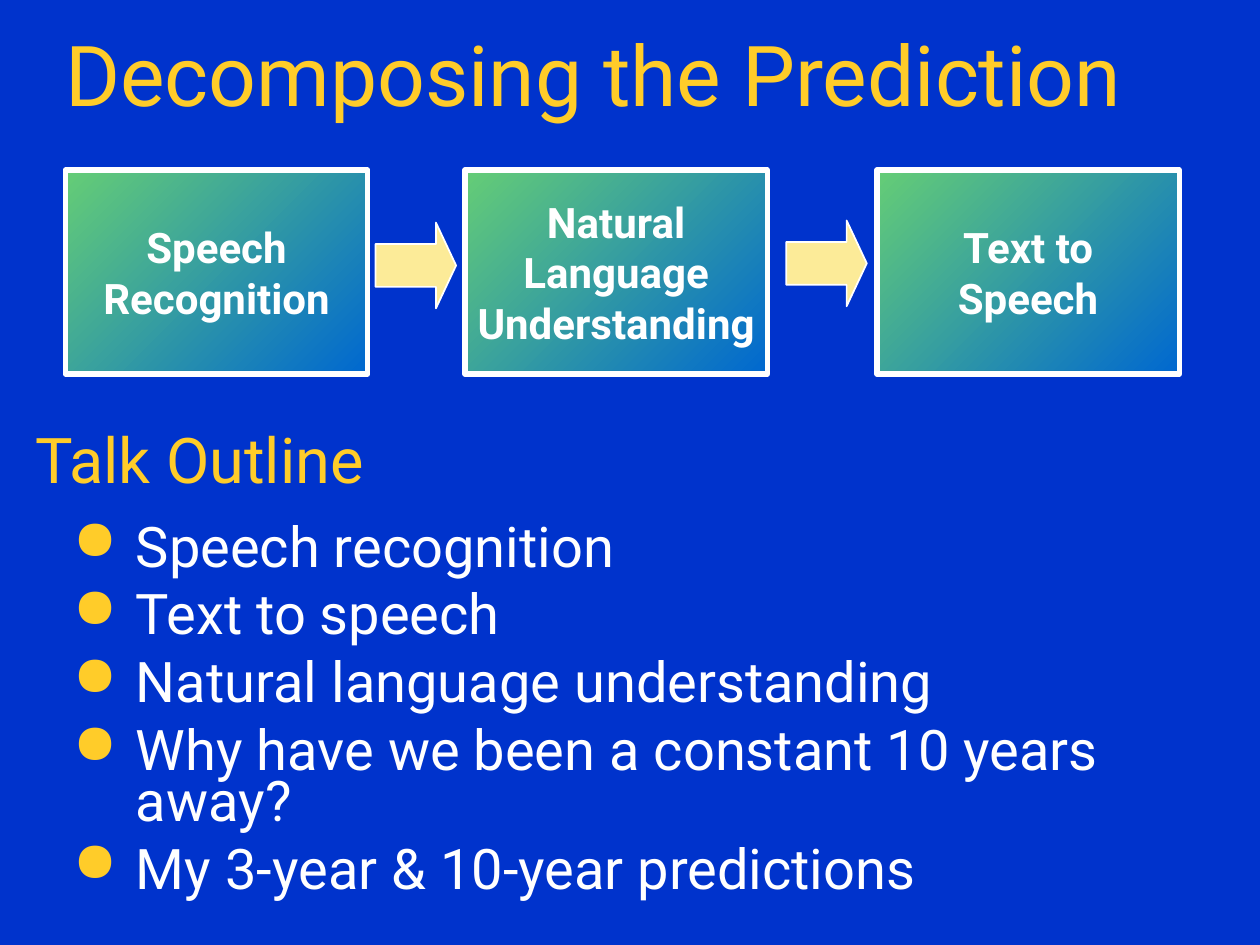
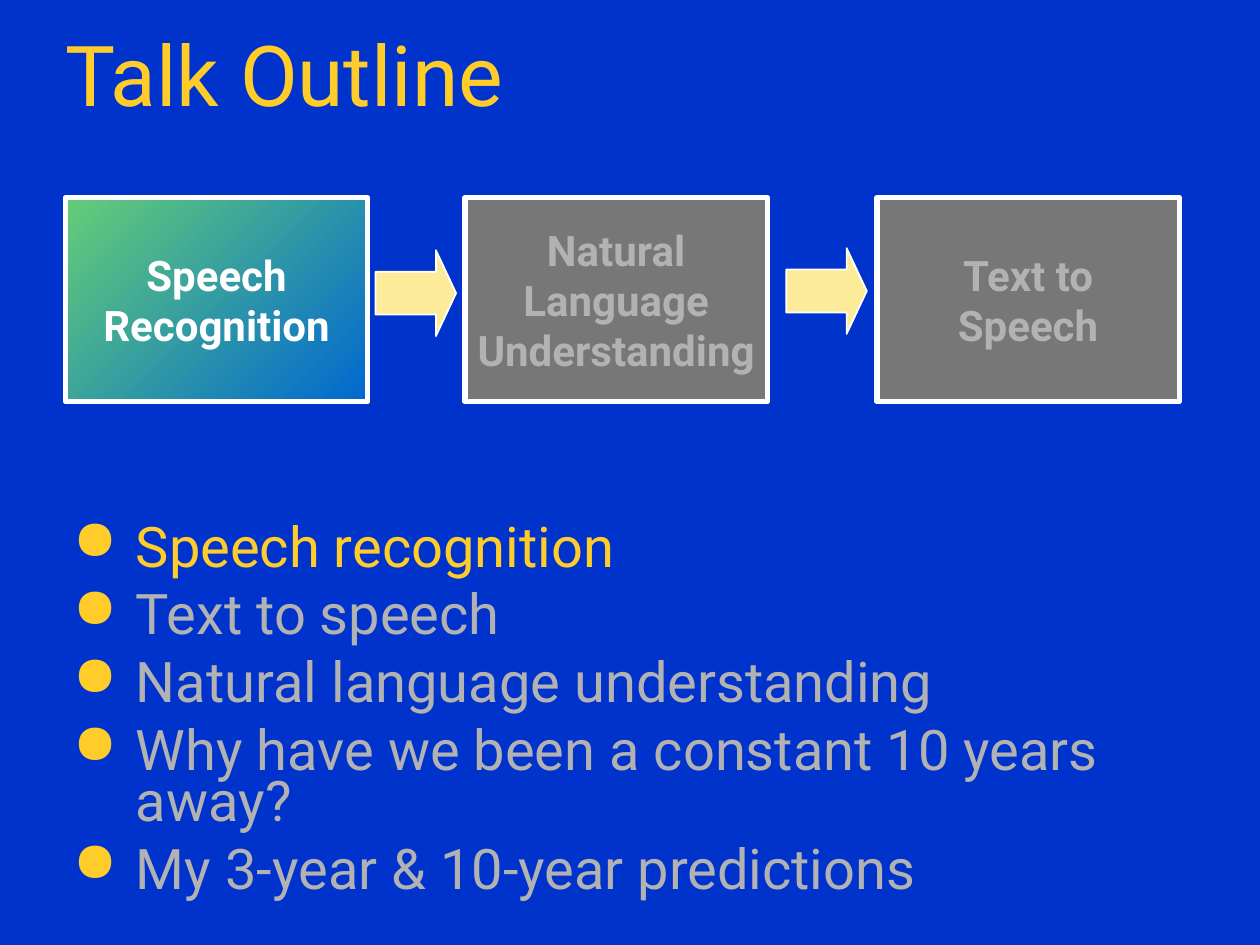
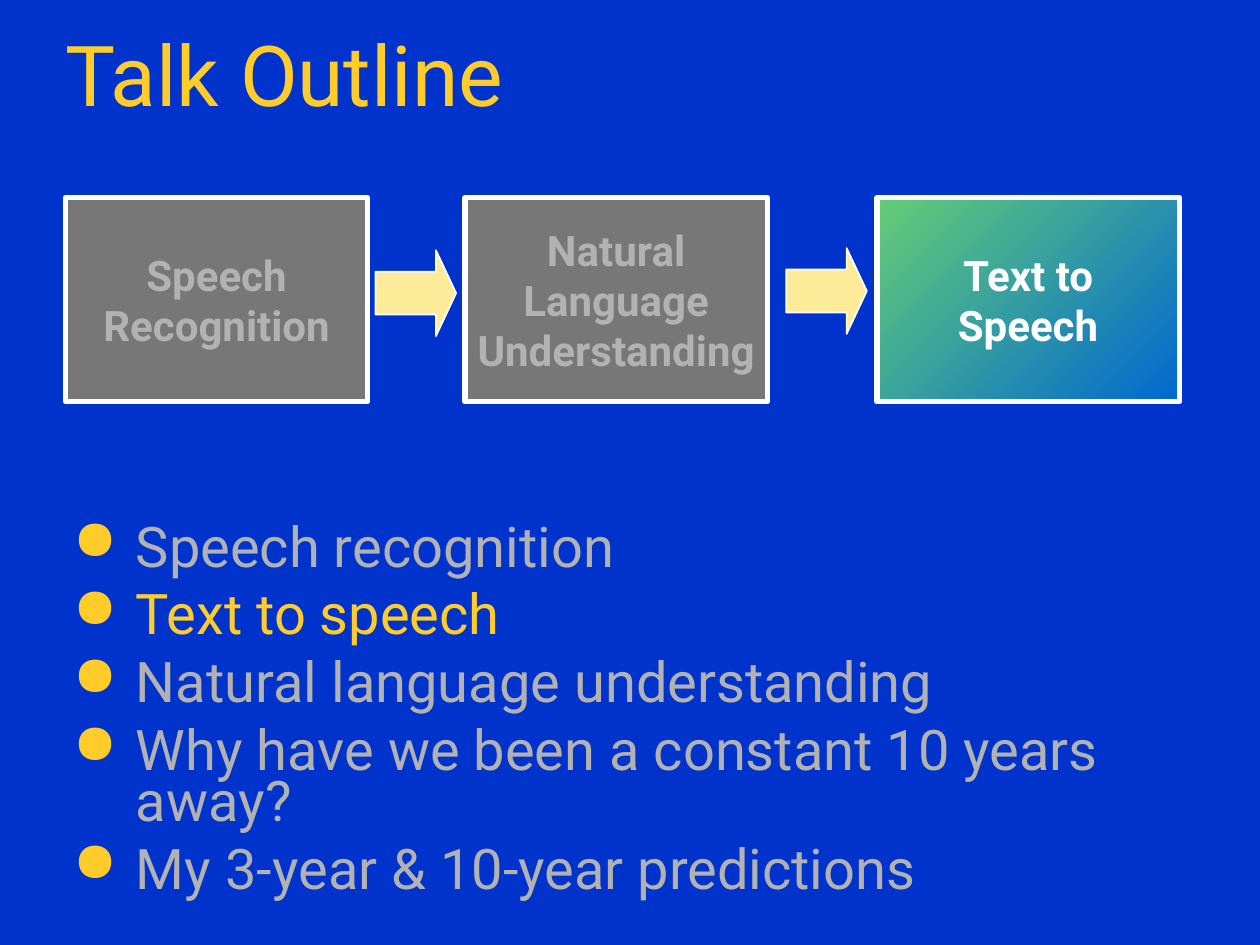
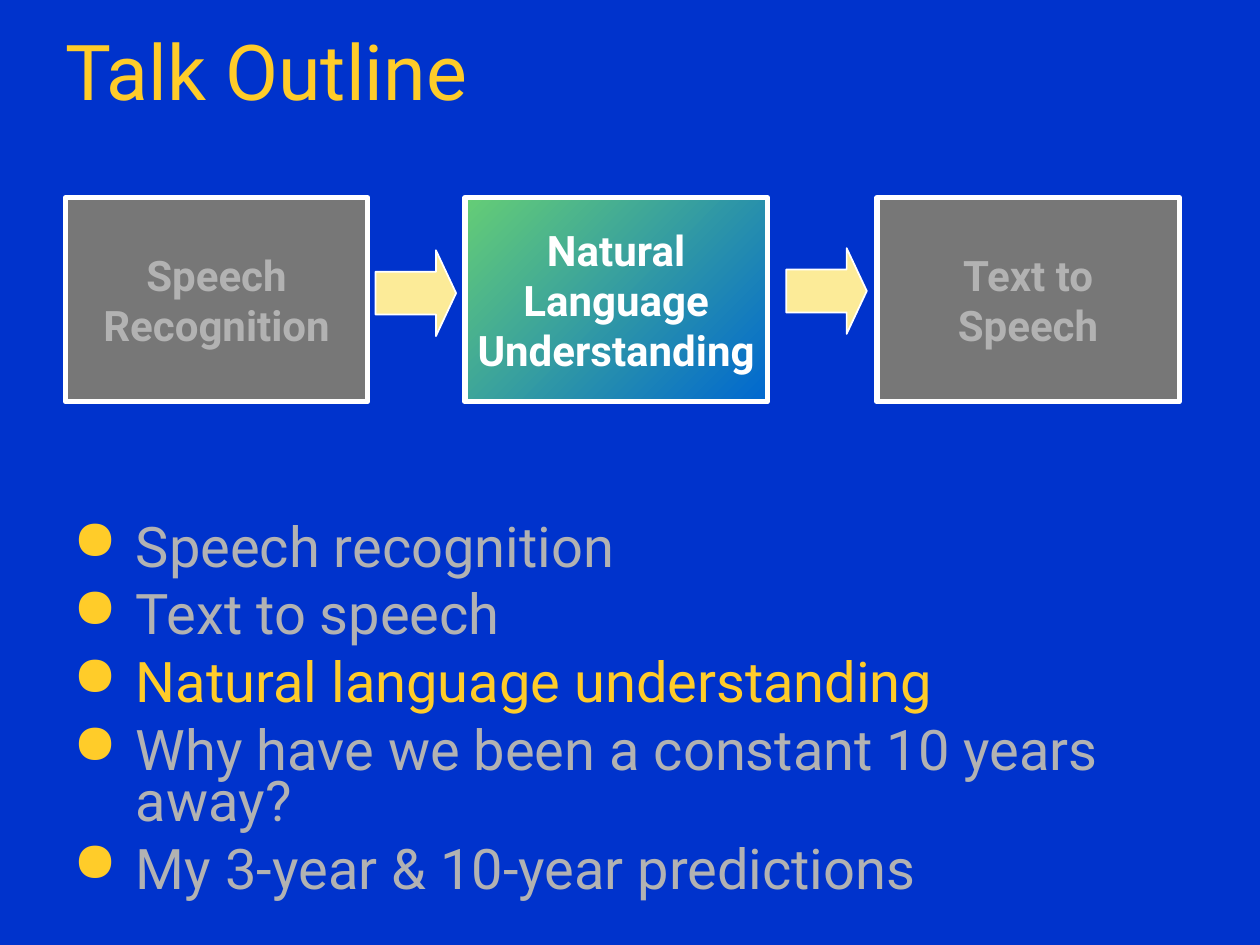
import pptx
import pptx.util
import pptx.dml.color
import pptx.enum.shapes
import pptx.enum.text
import pptx.oxml.ns
import lxml.etree

Pt = pptx.util.Pt
Rgb = pptx.dml.color.RGBColor.from_string
Kind = pptx.enum.shapes.MSO_SHAPE
Enum = pptx.enum.text


class Theme:
    font = "Roboto"
    back = "0033CC"
    gold = "FFCC29"
    white = "FFFFFF"
    dim = "B2B2B2"
    gray = "777777"
    cream = "FCEB98"
    blue = "0068D0"
    green = "65CD76"
    title = 48
    small = 44
    head = 36
    body = 32
    label = 24


def write(frame, text, size, colors, bold=False, space=None):
    frame.word_wrap = True
    frame.text = text
    for num, para in enumerate(frame.paragraphs):
        if space:
            para.line_spacing = space
        for run in para.runs:
            run.font.name = Theme.font
            run.font.size = Pt(size)
            run.font.bold = bold
            run.font.color.rgb = Rgb(colors[num % len(colors)])


def add_head(slide, text, left, top, height, size):
    frame = slide.shapes.add_textbox(Pt(left), Pt(top), Pt(661), Pt(height)).text_frame
    write(frame, text, size, [Theme.gold], space=0.85)
    frame.auto_size = Enum.MSO_AUTO_SIZE.SHAPE_TO_FIT_TEXT


speech, voice, lang = "Speech recognition", "Text to speech", "Natural language understanding"
items = [
    speech,
    voice,
    lang,
    "Why have we been a constant 10 years away?",
    "My 3-year & 10-year predictions",
]
boxes = [
    (lang, "Natural\nLanguage\nUnderstanding", 265.7),
    (speech, "Speech\nRecognition", 37.4),
    (voice, "Text to Speech", 501.1),
]
arrows = [(214.6, 30), (449.3, 28.8)]
pages = [
    ("Decomposing the Prediction", Theme.title, 56, 97.2, None),
    ("Talk Outline", Theme.title, 56, 113, speech),
    ("Talk Outline", Theme.title, 56, 113, voice),
    ("Talk Outline", Theme.small, 52.5, 113, lang),
]

deck = pptx.Presentation()
deck.slide_width, deck.slide_height = Pt(720), Pt(540)

for title, size, height, top, focus in pages:
    slide = deck.slides.add_slide(deck.slide_layouts[6])
    slide.background.fill.solid()
    slide.background.fill.fore_color.rgb = Rgb(Theme.back)
    add_head(slide, title, 30.2, 18, height, size)

    for topic, label, left in boxes:
        live = focus in (None, topic)
        box = slide.shapes.add_shape(Kind.RECTANGLE, Pt(left), Pt(top), Pt(172.8), Pt(116.6))
        box.shadow.inherit = False
        box.line.color.rgb = Rgb(Theme.white)
        box.line.width = Pt(3)
        if live:
            box.fill.gradient()
            box.fill.gradient_angle = 135
            for stop, color in zip(box.fill.gradient_stops, (Theme.blue, Theme.green)):
                stop.color.rgb = Rgb(color)
        else:
            box.fill.solid()
            box.fill.fore_color.rgb = Rgb(Theme.gray)
        write(box.text_frame, label, Theme.label, [Theme.white if live else Theme.dim], bold=True)
        box.text_frame.vertical_anchor = Enum.MSO_ANCHOR.MIDDLE
        for para in box.text_frame.paragraphs:
            para.alignment = Enum.PP_ALIGN.CENTER

    for left, drop in arrows:
        arrow = slide.shapes.add_shape(Kind.RIGHT_ARROW, Pt(left), Pt(top + drop), Pt(46), Pt(49))
        arrow.adjustments[0], arrow.adjustments[1] = 0.5, 0.25
        arrow.shadow.inherit = False
        arrow.fill.solid()
        arrow.fill.fore_color.rgb = Rgb(Theme.cream)
        arrow.line.color.rgb = Rgb(Theme.white)
        arrow.line.width = Pt(1)

    if focus is None:
        add_head(slide, "Talk Outline", 13, 243.4, 44, Theme.head)
        colors = [Theme.white]
    else:
        colors = [Theme.gold if item == focus else Theme.dim for item in items]

    frame = slide.shapes.add_textbox(Pt(34.6), Pt(297.4), Pt(685.4), Pt(243)).text_frame
    write(frame, "\n".join(items), Theme.body, colors, space=0.75)
    for num, para in enumerate(frame.paragraphs):
        para.space_before = Pt(10 if num else 0)
        props = para._p.get_or_add_pPr()
        props.set("marL", str(Pt(36)))
        props.set("indent", str(Pt(-36)))
        tint = lxml.etree.SubElement(props, pptx.oxml.ns.qn("a:buClr"))
        lxml.etree.SubElement(tint, pptx.oxml.ns.qn("a:srgbClr"), val=Theme.gold)
        lxml.etree.SubElement(props, pptx.oxml.ns.qn("a:buChar"), char="●")

deck.save("out.pptx")
